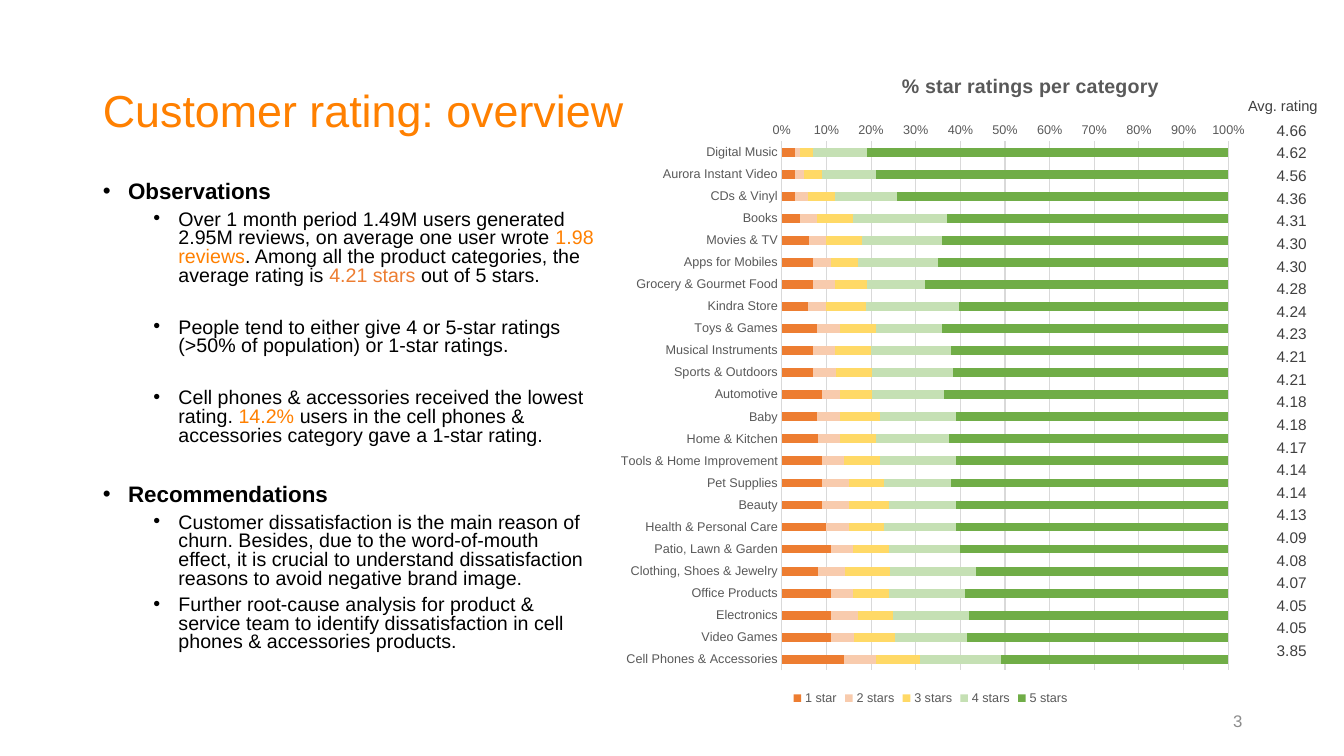
import pptx
import pptx.chart.data
import pptx.dml.color
import pptx.enum.chart
import pptx.enum.text
import pptx.oxml
import pptx.oxml.ns
import pptx.util

Inches = pptx.util.Inches
Pt = pptx.util.Pt
Align = pptx.enum.text.PP_ALIGN
Anchor = pptx.enum.text.MSO_ANCHOR

ORANGE, RUST, BLACK, GREY = "FF8000", "ED7D31", "000000", "595959"
PALE, DARK = "D9D9D9", "404040"

NOTES = [
    (0, 10, [("Observations", BLACK)]),
    (1, 5, [("Over 1 month period 1.49M users generated 2.95M reviews, "
             "on average one user wrote ", BLACK), ("1.98 reviews", ORANGE),
            (". Among all the product categories, the average rating is ", BLACK),
            ("4.21 stars ", RUST), ("out of 5 stars.", BLACK)]),
    (1, 23.4, [("People tend to either give 4 or 5-star ratings "
                "(>50% of population) or 1-star ratings.", BLACK)]),
    (1, 23.4, [("Cell phones & accessories received the lowest rating. ", BLACK),
               ("14.2% ", ORANGE),
               ("users in the cell phones & accessories category gave "
                "a 1-star rating.", BLACK)]),
    (0, 28.4, [("Recommendations", BLACK)]),
    (1, 5, [("Customer dissatisfaction is the main reason of churn. Besides, due to "
             "the word-of-mouth effect, it is crucial to understand dissatisfaction "
             "reasons to avoid negative brand image.", BLACK)]),
    (1, 5, [("Further root-cause analysis for product & service team to identify "
             "dissatisfaction in cell phones & accessories products.", BLACK)]),
]

# category, average rating, percent of 1 to 5 stars
RATINGS = [
    ("Digital Music", 4.66, 3, 1, 3, 12, 80),
    ("Aurora Instant Video", 4.62, 3, 2, 4, 12, 79),
    ("CDs & Vinyl", 4.56, 3, 3, 6, 14, 75),
    ("Books", 4.36, 4, 4, 8, 21, 63),
    ("Movies & TV", 4.31, 6, 4, 8, 18, 64),
    ("Apps for Mobiles", 4.30, 7, 4, 6, 18, 65),
    ("Grocery & Gourmet Food", 4.30, 7, 5, 7, 13, 68),
    ("Kindra Store", 4.28, 6, 4, 9, 21, 61),
    ("Toys & Games", 4.24, 8, 5, 8, 15, 64),
    ("Musical Instruments", 4.23, 7, 5, 8, 18, 62),
    ("Sports & Outdoors", 4.21, 7, 5, 8, 18, 61),
    ("Automotive", 4.21, 9, 4, 7, 16, 63),
    ("Baby", 4.18, 8, 5, 9, 17, 61),
    ("Home & Kitchen", 4.18, 8, 5, 8, 16, 62),
    ("Tools & Home Improvement", 4.17, 9, 5, 8, 17, 61),
    ("Pet Supplies", 4.14, 9, 6, 8, 15, 62),
    ("Beauty", 4.14, 9, 6, 9, 15, 61),
    ("Health & Personal Care", 4.13, 10, 5, 8, 16, 61),
    ("Patio, Lawn & Garden", 4.09, 11, 5, 8, 16, 60),
    ("Clothing, Shoes & Jewelry", 4.08, 8, 6, 10, 19, 56),
    ("Office Products", 4.07, 11, 5, 8, 17, 59),
    ("Electronics", 4.05, 11, 6, 8, 17, 58),
    ("Video Games", 4.05, 11, 5, 9, 16, 58),
    ("Cell Phones & Accessories", 3.85, 14, 7, 10, 18, 51),
]
STARS = [("1 star", RUST), ("2 stars", "F8CBAD"), ("3 stars", "FFD966"),
         ("4 stars", "C5E0B4"), ("5 stars", "70AD47")]


def rgb(color):
    return pptx.dml.color.RGBColor.from_string(color)


def style(font, size, color, bold=False):
    font.name, font.size, font.bold = "Arial", Pt(size), bold
    font.color.rgb = rgb(color)


def write(para, text, size=14, color=BLACK, bold=False, align=None):
    run = para.add_run()
    run.text = text
    style(run.font, size, color, bold)
    if align is not None:
        para.alignment = align


def place(shape, box):
    shape.left, shape.top, shape.width, shape.height = map(Inches, box)


def add_label(slide, box, text, wrap=True, **look):
    label = slide.shapes.add_textbox(*map(Inches, box))
    frame = label.text_frame
    frame.word_wrap = wrap
    frame.vertical_anchor = Anchor.MIDDLE
    write(frame.paragraphs[0], text, **look)


def add_title(slide, box):
    title = slide.shapes.title
    place(title, box)
    title.text_frame.vertical_anchor = Anchor.MIDDLE
    para = title.text_frame.paragraphs[0]
    para.line_spacing = 0.9
    write(para, "Customer rating: overview", size=32, color=ORANGE, align=Align.LEFT)


def set_bullet(para, indent):
    props = para._p.get_or_add_pPr()
    props.set("marL", str(Inches(indent)))
    props.set("indent", str(Inches(-0.25)))
    for tag, key, value in (("buFont", "typeface", "Arial"), ("buChar", "char", "•")):
        mark = pptx.oxml.parse_xml(
            f'<a:{tag} {pptx.oxml.ns.nsdecls("a")} {key}="{value}"/>')
        props.append(mark)


def add_notes(slide, box):
    body = slide.placeholders[1]
    place(body, box)
    frame = body.text_frame
    frame.auto_size = pptx.enum.text.MSO_AUTO_SIZE.NONE
    for row, (level, space, parts) in enumerate(NOTES):
        para = frame.add_paragraph() if row else frame.paragraphs[0]
        para.level = level
        para.line_spacing = 0.8
        para.space_before, para.space_after = Pt(space), Pt(0)
        set_bullet(para, 0.25 + 0.5 * level)
        for text, color in parts:
            write(para, text, size=14 if level else 16, color=color, bold=not level)


def set_layout(node, **parts):
    """Pin a chart part at fractions of the chart's size."""
    space = pptx.oxml.ns.nsdecls("c")
    modes = '<c:layoutTarget val="inner"/>' if "w" in parts else ""
    modes += '<c:xMode val="edge"/><c:yMode val="edge"/>'
    sizes = "".join(f'<c:{key} val="{value}"/>' for key, value in parts.items())
    layout = pptx.oxml.parse_xml(
        f"<c:layout {space}><c:manualLayout>{modes}{sizes}</c:manualLayout></c:layout>")
    old = node.find(pptx.oxml.ns.qn("c:layout"))
    if old is None:
        node.insert(0, layout)
    else:
        node.replace(old, layout)


def style_axis(axis):
    marks = pptx.enum.chart.XL_TICK_MARK
    axis.major_tick_mark = axis.minor_tick_mark = marks.NONE
    style(axis.tick_labels.font, 9, GREY)


def add_bars(slide, box):
    data = pptx.chart.data.CategoryChartData(number_format="0")
    data.categories = [row[0] for row in RATINGS]
    for index, (name, _) in enumerate(STARS):
        data.add_series(name, [row[index + 2] for row in RATINGS])
    kind = pptx.enum.chart.XL_CHART_TYPE.BAR_STACKED_100
    chart = slide.shapes.add_chart(kind, *map(Inches, box), data).chart
    style(chart.font, 10, BLACK)

    write(chart.chart_title.text_frame.paragraphs[0], "% star ratings per category",
          color=GREY, bold=True)
    set_layout(chart.chart_title._element, x=0.45, y=0.02)
    set_layout(chart._chartSpace.chart.plotArea, x=0.27, y=0.13, w=0.69, h=0.81)

    plot = chart.plots[0]
    plot.gap_width, plot.overlap, plot.vary_by_categories = 150, 100, False
    for series, (_, color) in zip(plot.series, STARS):
        series.format.fill.solid()
        series.format.fill.fore_color.rgb = rgb(color)

    names, scale = chart.category_axis, chart.value_axis
    style_axis(names)
    style_axis(scale)
    names.reverse_order = True
    scale.tick_labels.number_format = "0%"
    scale.tick_labels.number_format_is_linked = False
    scale.format.line.fill.background()
    for line in (names.format.line, scale.major_gridlines.format.line):
        line.color.rgb = rgb(PALE)
        line.width = Pt(0.75)

    chart.has_legend = True
    chart.legend.position = pptx.enum.chart.XL_LEGEND_POSITION.BOTTOM
    chart.legend.include_in_layout = False
    style(chart.legend.font, 9, GREY)


def add_means(slide, box):
    """Average ratings in a column, under their heading."""
    left, top, width, height = box
    count = len(RATINGS)
    table = slide.shapes.add_table(count, 1, *map(Inches, box)).table
    table.first_row = table.horz_banding = False
    for index, row in enumerate(RATINGS):
        table.rows[index].height = Inches(height / count)
        cell = table.cell(index, 0)
        cell.fill.background()
        cell.vertical_anchor = Anchor.BOTTOM
        cell.margin_left = cell.margin_right = cell.margin_top = Inches(0.01)
        cell.margin_bottom = 0
        write(cell.text_frame.paragraphs[0], f"{row[1]:.2f}", size=11, color=DARK,
              align=Align.RIGHT)
    add_label(slide, (left - 0.24, top - 0.26, width + 0.49, 0.29), "Avg. rating",
              wrap=False, size=10.5, color=DARK)


def main():
    deck = pptx.Presentation()
    deck.slide_width, deck.slide_height = Inches(13.33), Inches(7.5)
    slide = deck.slides.add_slide(deck.slide_layouts[1])
    add_bars(slide, (6.02, 0.56, 6.42, 6.48))
    add_title(slide, (0.92, 0.4, 11.5, 1.45))
    add_notes(slide, (0.92, 1.76, 5.1, 4.99))
    add_means(slide, (12.52, 1.16, 0.45, 5.39))
    add_label(slide, (9.42, 6.95, 3, 0.4), "3", size=12, color="8C8C8C",
              align=Align.RIGHT)
    deck.save("out.pptx")


if __name__ == "__main__":
    main()
